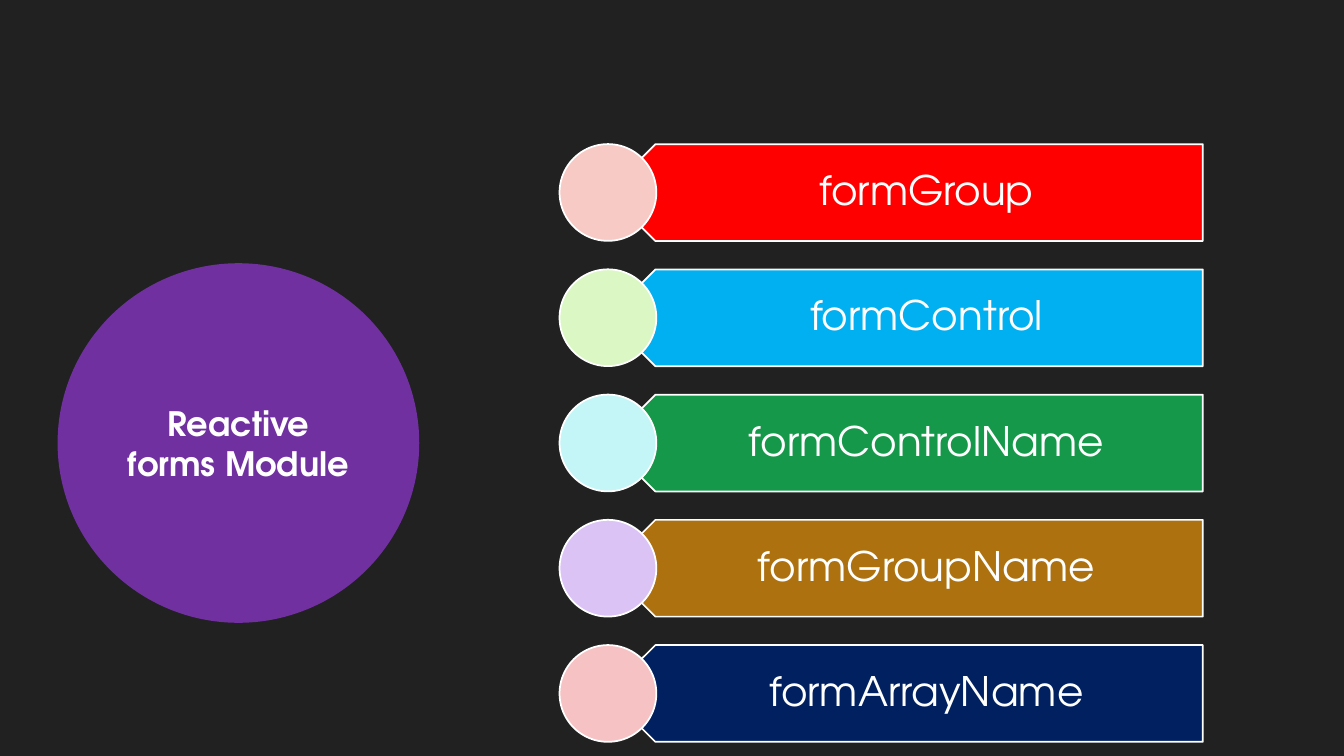
from pptx import Presentation
from pptx.dml.color import RGBColor
from pptx.enum import shapes, text
from pptx.util import Inches, Pt

COLORS = {
    "background": "212121",
    "white": "FFFFFF",
    "module": "7030A0",
}
FONT = "TeX Gyre Adventor"
DIRECTIVES = [
    ("formGroup", "FF0000", "F7CAC5"),
    ("formControl", "00B0F0", "DAF7C4"),
    ("formControlName", "159849", "C4F5F7"),
    ("formGroupName", "AD710F", "DCC3F6"),
    ("formArrayName", "002060", "F6C2C4"),
]
FIRST_TOP, LAST_TOP = 1.43, 6.4
ROW_HEIGHT = 0.96
ROW_STEP = (LAST_TOP - FIRST_TOP) / (len(DIRECTIVES) - 1)


def add_filled_shape(kind, left, top, width, height, fill, line):
    shape = slide.shapes.add_shape(
        kind, Inches(left), Inches(top), Inches(width), Inches(height))
    shape.shadow.inherit = False
    shape.fill.solid()
    shape.fill.fore_color.rgb = RGBColor.from_string(fill)
    shape.line.color.rgb = RGBColor.from_string(line)
    shape.line.width = Pt(1.25)
    return shape


def write_text(shape, content, size, bold=False, line_spacing=1.0, margins=(0.1, 0.05, 0.1, 0.05)):
    frame = shape.text_frame
    frame.word_wrap = True
    frame.vertical_anchor = text.MSO_ANCHOR.MIDDLE
    frame.margin_left, frame.margin_top, frame.margin_right, frame.margin_bottom = map(Inches, margins)
    paragraph = frame.paragraphs[0]
    paragraph.alignment = text.PP_ALIGN.CENTER
    paragraph.line_spacing = line_spacing
    run = paragraph.add_run()
    run.text = content
    run.font.name = FONT
    run.font.size = Pt(size)
    run.font.bold = bold
    run.font.color.rgb = RGBColor.from_string(COLORS["white"])


presentation = Presentation()
presentation.slide_width = Inches(13.33)
presentation.slide_height = Inches(7.5)
slide = presentation.slides.add_slide(presentation.slide_layouts[6])
slide.background.fill.solid()
slide.background.fill.fore_color.rgb = RGBColor.from_string(COLORS["background"])

for row, (directive, bar_color, circle_color) in enumerate(DIRECTIVES):
    top = FIRST_TOP + row * ROW_STEP
    bar = add_filled_shape(shapes.MSO_SHAPE.PENTAGON, 6.02, top, 5.91, ROW_HEIGHT,
                           bar_color, COLORS["white"])
    bar.rotation = 180
    label = slide.shapes.add_textbox(Inches(6.26), Inches(top), Inches(5.67), Inches(ROW_HEIGHT))
    write_text(label, directive, 29, line_spacing=0.9, margins=(0.42, 0.12, 0.23, 0.12))
    add_filled_shape(shapes.MSO_SHAPE.OVAL, 5.55, top, ROW_HEIGHT, ROW_HEIGHT,
                     circle_color, COLORS["white"])

module_circle = add_filled_shape(shapes.MSO_SHAPE.OVAL, 0.58, 2.62, 3.57, 3.55,
                                 COLORS["module"], COLORS["module"])
write_text(module_circle, "Reactive forms Module", 24, bold=True)

presentation.save("out.pptx")
